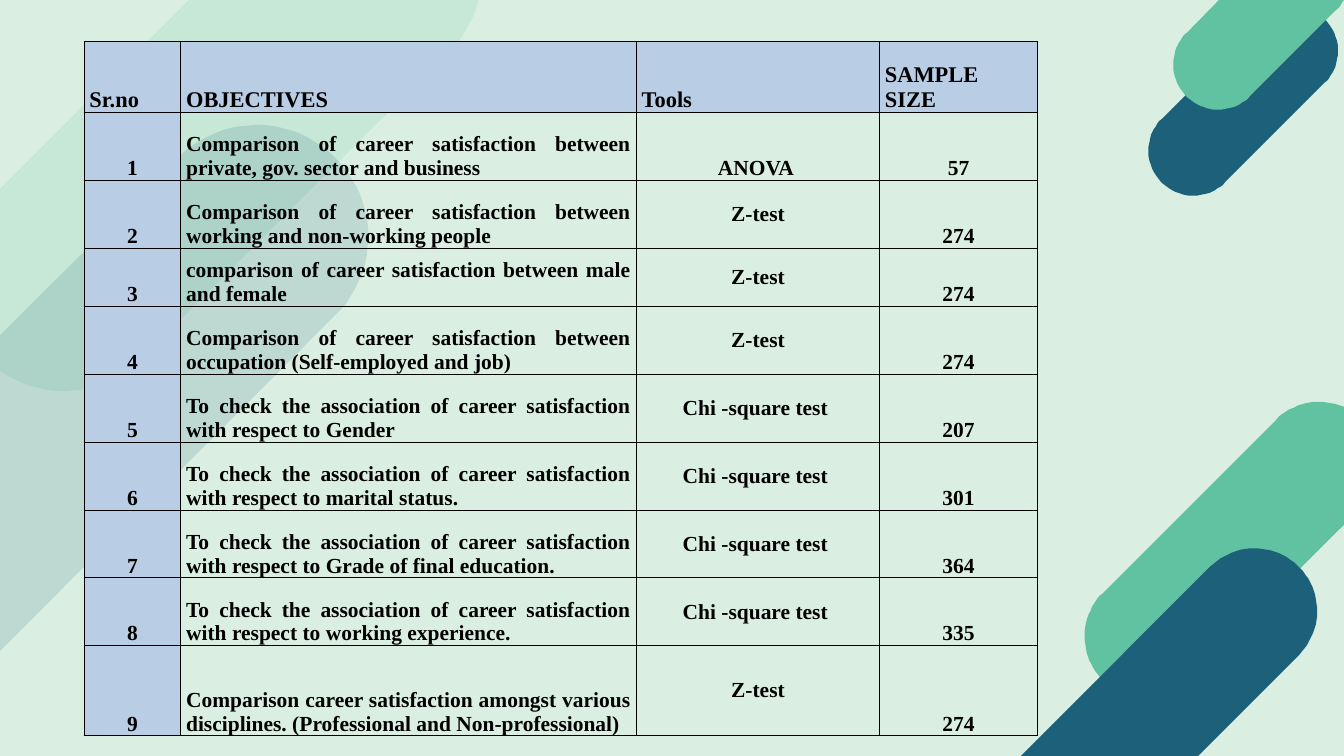
from dataclasses import dataclass
from math import cos, radians, sin

from lxml.etree import SubElement
from pptx import Presentation
from pptx.dml.color import RGBColor
from pptx.enum.text import MSO_ANCHOR, PP_ALIGN
from pptx.oxml.ns import qn
from pptx.util import Emu, Pt

PX = 9144  # EMU per px: 100 px to the inch
WIDTH, HEIGHT = 2000, 1125


@dataclass(frozen=True)
class Theme:
    background: str = "DAEFE1"
    green: str = "61C2A2"
    teal: str = "1C6179"
    header: str = "B9CDE5"
    ink: str = "000000"
    font: str = "Times New Roman"
    header_size: int = 24
    body_size: int = 23
    border: int = 1


def clip(points, axis, limit, sign):
    """Keep the part of a polygon where sign * (coordinate - limit) <= 0."""
    kept = []
    for start, end in zip(points, points[1:] + points[:1]):
        before, after = (sign * (point[axis] - limit) for point in (start, end))
        if before <= 0:
            kept.append(start)
        if before * after < 0:
            share = before / (before - after)
            kept.append(tuple(a + share * (b - a) for a, b in zip(start, end)))
    return kept


def capsule_outline(low, high, radius):
    """Outline of a capsule rising at 45 degrees, cut at the slide edges."""
    points = [(x + radius * cos(radians(angle)), y + radius * sin(radians(angle)))
              for (x, y), first in ((low, 45), (high, 225))
              for angle in range(first, first + 181, 4)]
    for axis, limit, sign in ((0, 0, -1), (0, WIDTH, 1), (1, 0, -1), (1, HEIGHT, 1)):
        points = clip(points, axis, limit, sign)
    return points


class SlideBuilder:
    def __init__(self, slide, theme):
        self.slide = slide
        self.theme = theme

    def background(self):
        fill = self.slide.background.fill
        fill.solid()
        fill.fore_color.rgb = RGBColor.from_string(self.theme.background)

    def capsules(self, *capsules, opacity=100):
        group = self.slide.shapes.add_group_shape()
        for low, high, radius, color in capsules:
            first, *others = capsule_outline(low, high, radius)
            builder = group.shapes.build_freeform(*first, scale=PX)
            builder.add_line_segments(others, close=True)
            shape = builder.convert_to_shape()
            shape.shadow.inherit = False
            shape.line.fill.background()
            shape.fill.solid()
            shape.fill.fore_color.rgb = RGBColor.from_string(color)
            if opacity < 100:
                color_element = shape.fill._xPr.find(qn("a:solidFill"))[0]
                SubElement(color_element, qn("a:alpha"), val=str(opacity * 1000))

    def borders(self, cell):
        properties = cell._tc.get_or_add_tcPr()
        for side in ("a:lnL", "a:lnR", "a:lnT", "a:lnB"):
            line = SubElement(properties, qn(side), w=str(Pt(self.theme.border)))
            fill = SubElement(line, qn("a:solidFill"))
            SubElement(fill, qn("a:srgbClr"), val=self.theme.ink)

    def cell(self, cell, text, size, alignment, anchor, filled):
        self.borders(cell)
        if filled:
            cell.fill.solid()
            cell.fill.fore_color.rgb = RGBColor.from_string(self.theme.header)
        else:
            cell.fill.background()
        cell.margin_left = cell.margin_right = Emu(8 * PX)
        cell.margin_top = cell.margin_bottom = 0
        cell.vertical_anchor = anchor
        cell.text = text
        paragraph = cell.text_frame.paragraphs[0]
        paragraph.alignment = alignment
        paragraph.font.name = self.theme.font
        paragraph.font.size = Pt(size)
        paragraph.font.bold = True
        paragraph.font.color.rgb = RGBColor.from_string(self.theme.ink)

    def table(self, left, top, widths, heights, rows):
        frame = self.slide.shapes.add_table(
            len(heights), len(widths), Emu(left * PX), Emu(top * PX),
            Emu(sum(widths) * PX), Emu(sum(heights) * PX))
        table = frame.table
        table.first_row = table.horz_banding = False
        for column, width in zip(table.columns, widths):
            column.width = Emu(width * PX)
        for row, height in zip(table.rows, heights):
            row.height = Emu(height * PX)
        for r, texts in enumerate(rows):
            for c, text in enumerate(texts):
                is_header = r == 0
                justified = is_header or c == 1
                middle = r > 1 and c == 2
                self.cell(
                    table.cell(r, c), text,
                    self.theme.header_size if is_header else self.theme.body_size,
                    PP_ALIGN.JUSTIFY if justified else PP_ALIGN.CENTER,
                    MSO_ANCHOR.MIDDLE if middle else MSO_ANCHOR.BOTTOM,
                    is_header or c == 0)


HEADINGS = ("Sr.no", "OBJECTIVES", "Tools ", "SAMPLE SIZE")
COMPARISON = "Comparison of career satisfaction between "
ASSOCIATION = "To check the association of career satisfaction with respect to "
Z_TEST, CHI_SQUARE = "Z-test", "Chi -square test "
STUDIES = (
    (COMPARISON + "private, gov. sector and business ", "ANOVA ", 57),
    (COMPARISON + "working and non-working people", Z_TEST, 274),
    ("comparison of career satisfaction between male and female", Z_TEST, 274),
    (COMPARISON + "occupation (Self-employed and job)", Z_TEST, 274),
    (ASSOCIATION + "Gender", CHI_SQUARE, 207),
    (ASSOCIATION + "marital status.", CHI_SQUARE, 301),
    (ASSOCIATION + "Grade of final education.", CHI_SQUARE, 364),
    (ASSOCIATION + "working experience.", CHI_SQUARE, 335),
    ("Comparison career satisfaction amongst various disciplines. "
     "(Professional and Non-professional)", Z_TEST, 274),
)


def main():
    presentation = Presentation()
    presentation.slide_width = Emu(WIDTH * PX)
    presentation.slide_height = Emu(HEIGHT * PX)
    slide = presentation.slides.add_slide(presentation.slide_layouts[6])
    theme = Theme()
    builder = SlideBuilder(slide, theme)

    # Backdrop: capsules at lower right, upper right and, faintly, at left
    builder.background()
    builder.capsules(((1705, 947), (1963, 689), 91, theme.green),
                     ((1467, 1309), (1867, 909), 93, theme.teal))
    builder.capsules(((1776, 224), (1924, 76), 67, theme.teal),
                     ((1813, 96), (1941, -32), 67, theme.green))
    builder.capsules(((95, 418), (553, -40), 164, theme.green),
                     ((-218, 952), (382, 352), 166, theme.teal), opacity=15)

    # Objectives table
    rows = [HEADINGS] + [(str(number), objective, tool, str(sample))
                         for number, (objective, tool, sample) in enumerate(STUDIES, 1)]
    heights = [105, 101, 101, 87] + [101] * 5 + [134]
    builder.table(125, 62, (144, 678, 362, 235), heights, rows)

    presentation.save("out.pptx")


if __name__ == "__main__":
    main()
